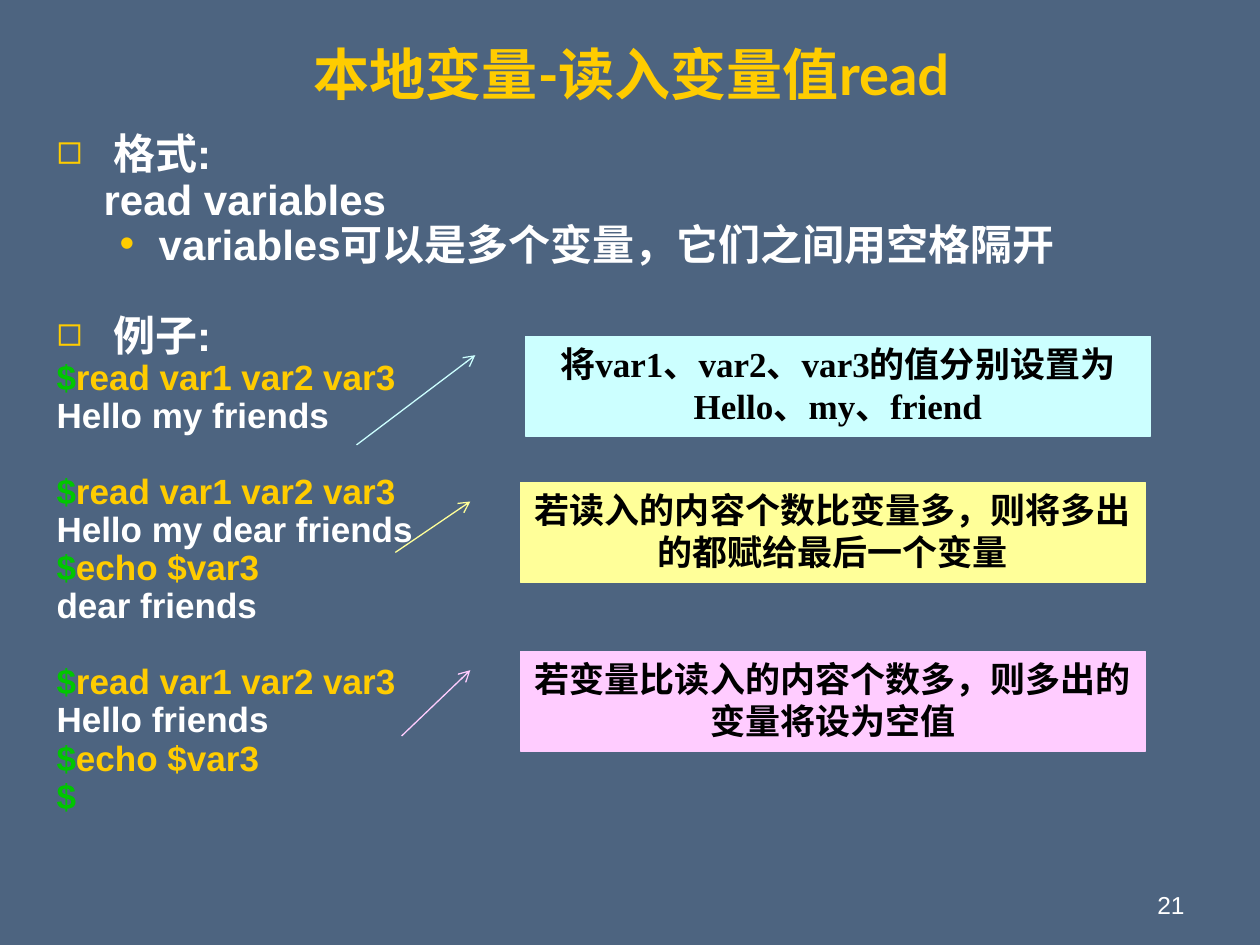
import pptx
import pptx.dml.color
import pptx.enum.shapes
import pptx.enum.text
import pptx.oxml.ns
import pptx.util
from lxml import etree
from pptx.util import Cm, Pt

ALIGN = pptx.enum.text.PP_ALIGN
ANCHOR = pptx.enum.text.MSO_ANCHOR

COLOURS = {
    "background": "4D6480",
    "gold": "FFCC00",
    "white": "FFFFFF",
    "green": "00C600",
    "black": "000000",
    "cyan": "CCFFFF",
    "yellow": "FFFF99",
    "pink": "FFCCFF",
}

# Paragraph formats: indents in cm, sizes in points
HEADING = {"size": 24, "before": 6, "left": 1.14, "first": -1.14, "bullet": "◻"}
SYNTAX = {"size": 24, "before": 6, "left": 0.95, "first": 0}
DETAIL = {"size": 24, "before": 6, "left": 2.06, "first": -0.79, "bullet": "•"}
CODE = {"size": 20, "before": 5, "left": 0.97, "first": -0.97}
HEADING_GAP = 31.5
CODE_GAP = 26.5


def colour(name):
    return pptx.dml.color.RGBColor.from_string(COLOURS[name])


def add_element(parent, tag, **attributes):
    return etree.SubElement(parent, pptx.oxml.ns.qn(tag), attributes)


def set_values(target, values):
    for name, value in values.items():
        setattr(target, name, value)


class SlideBuilder:
    def __init__(self, presentation):
        self.slide = presentation.slides.add_slide(presentation.slide_layouts[5])
        fill = self.slide.background.fill
        fill.solid()
        fill.fore_color.rgb = colour("background")

    def run(self, paragraph, text, size, colour_name, font="Arial", bold=True):
        run = paragraph.add_run()
        run.text = text
        set_values(run.font, {"name": font, "size": Pt(size), "bold": bold})
        run.font.color.rgb = colour(colour_name)

    def title(self, text, box):
        shape = self.slide.shapes.title
        set_values(shape, dict(zip(("left", "top", "width", "height"), map(Cm, box))))
        shape.text_frame.vertical_anchor = ANCHOR.MIDDLE
        paragraph = shape.text_frame.paragraphs[0]
        paragraph.alignment = ALIGN.CENTER
        self.run(paragraph, text, 32, "gold", "Lato")

    def text_box(self, box, anchor=ANCHOR.TOP):
        frame = self.slide.shapes.add_textbox(*map(Cm, box)).text_frame
        set_values(frame, {"word_wrap": True, "vertical_anchor": anchor})
        return frame

    def body(self, lines, box):
        frame = self.text_box(box)
        for index, (style, gap, text) in enumerate(lines):
            paragraph = frame.add_paragraph() if index else frame.paragraphs[0]
            self.indent(paragraph, style)
            before = (gap or style["before"]) if index else 0
            set_values(paragraph, {"line_spacing": 0.7, "space_before": Pt(before)})
            if style is CODE and text.startswith("$"):
                self.run(paragraph, "$", style["size"], "green")
                if text[1:]:
                    self.run(paragraph, text[1:], style["size"], "gold")
            else:
                self.run(paragraph, text, style["size"], "white")

    def indent(self, paragraph, style):
        properties = paragraph._p.get_or_add_pPr()
        properties.set("marL", str(Cm(style["left"])))
        properties.set("indent", str(Cm(style["first"])))
        if "bullet" in style:
            bullet_colour = add_element(properties, "a:buClr")
            add_element(bullet_colour, "a:srgbClr", val=COLOURS["gold"])
            add_element(properties, "a:buFont", typeface="Arial")
            add_element(properties, "a:buChar", char=style["bullet"])

    def callout(self, text, colour_name, left, top, tail):
        shape = self.slide.shapes.add_shape(
            pptx.enum.shapes.MSO_SHAPE.LINE_CALLOUT_1,
            Cm(left), Cm(top), Cm(12.6), Cm(2.01))
        for index, value in enumerate((0.19, -0.08, *tail)):
            shape.adjustments[index] = value
        shape.shadow.inherit = False
        shape.fill.solid()
        shape.fill.fore_color.rgb = colour(colour_name)
        shape.line.color.rgb = colour(colour_name)
        shape.line.width = Pt(0.75)
        add_element(shape.line._get_or_add_ln(), "a:headEnd", type="arrow")
        set_values(shape.text_frame, {"word_wrap": True, "vertical_anchor": ANCHOR.TOP})
        paragraph = shape.text_frame.paragraphs[0]
        paragraph.alignment = ALIGN.CENTER
        self.run(paragraph, text, 20, "black", "Times New Roman")

    def page_number(self, text, box):
        paragraph = self.text_box(box, ANCHOR.BOTTOM).paragraphs[0]
        paragraph.alignment = ALIGN.RIGHT
        self.run(paragraph, text, 14, "white", bold=False)


def main():
    presentation = pptx.Presentation()
    set_values(presentation, {"slide_width": Cm(25.4), "slide_height": Cm(19.05)})
    builder = SlideBuilder(presentation)

    # Title and page number
    builder.title("本地变量-读入变量值read", (1.3, 0.53, 22.86, 1.9))
    builder.page_number("21", (18.21, 17.35, 5.92, 1.32))

    # Syntax, then three examples set apart by a wider gap
    lines = [
        (HEADING, None, "格式:"),
        (SYNTAX, None, "read variables"),
        (DETAIL, None, "variables可以是多个变量，它们之间用空格隔开"),
        (HEADING, HEADING_GAP, "例子:"),
    ]
    examples = [
        ["Hello my friends"],
        ["Hello my dear friends", "$echo $var3", "dear friends"],
        ["Hello friends", "$echo $var3", "$"],
    ]
    for index, example in enumerate(examples):
        lines.append((CODE, CODE_GAP if index else None, "$read var1 var2 var3"))
        lines += [(CODE, None, text) for text in example]
    builder.body(lines, (0.89, 2.72, 23.8, 15.01))

    # Callouts explaining each example
    callouts = [
        ("将var1、var2、var3的值分别设置为Hello、my、friend",
         "cyan", 10.59, 6.78, (1.09, -0.27)),
        ("若读入的内容个数比变量多，则将多出的都赋给最后一个变量",
         "yellow", 10.49, 9.73, (0.7, -0.2)),
        ("若变量比读入的内容个数多，则多出的变量将设为空值",
         "pink", 10.49, 13.13, (0.85, -0.19)),
    ]
    for callout in callouts:
        builder.callout(*callout)

    presentation.save("out.pptx")


if __name__ == "__main__":
    main()
